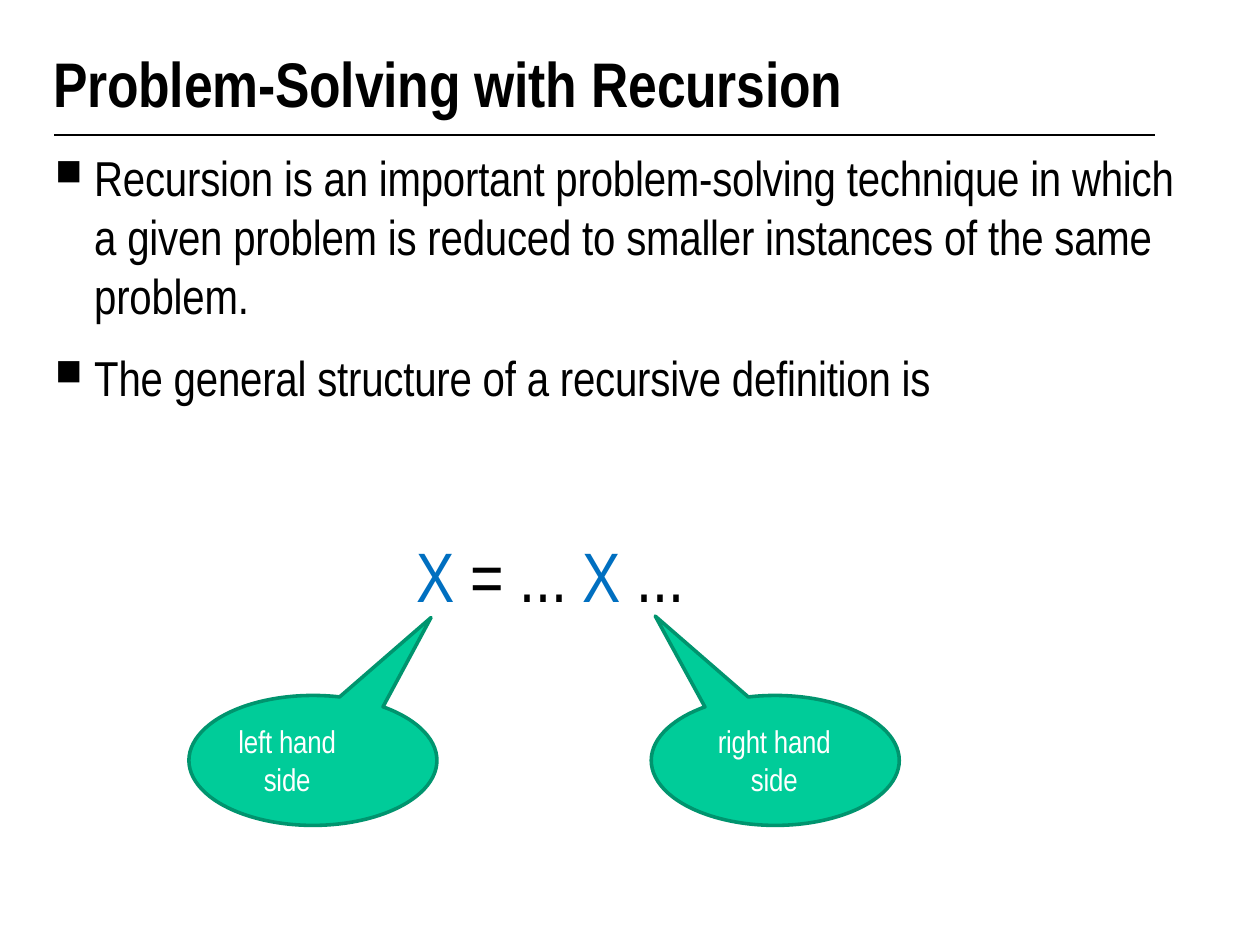
from lxml import etree
from pptx import Presentation
from pptx.dml.color import RGBColor
from pptx.enum.shapes import MSO_CONNECTOR, MSO_SHAPE
from pptx.enum.text import PP_ALIGN
from pptx.oxml.ns import qn
from pptx.util import Cm, Pt

CALLOUT = MSO_SHAPE.OVAL_CALLOUT
STRAIGHT = MSO_CONNECTOR.STRAIGHT
LEFT, CENTER = PP_ALIGN.LEFT, PP_ALIGN.CENTER
FONT = "Arial Narrow"
COLORS = {
    "ink": "000000",
    "label": "FFFFFF",
    "variable": "006FC0",
    "bubble": "00CC99",
    "bubble_edge": "00946E",
}


def color(name):
    """Return the named colour."""
    return RGBColor.from_string(COLORS[name])


def add_text(slide, box, paragraphs, size, bold=False, align=LEFT, gaps=(1,)):
    """Add a text box; a paragraph is a list of (text, colour name) runs."""
    frame = slide.shapes.add_textbox(*map(Cm, box)).text_frame
    frame.word_wrap = True
    frame.margin_left = frame.margin_right = frame.margin_bottom = 0
    frame.margin_top = Cm(0.03)
    for index, runs in enumerate(paragraphs):
        paragraph = frame.add_paragraph() if index else frame.paragraphs[0]
        paragraph.alignment = align
        paragraph.space_before = Pt(gaps[index] if index < len(gaps) else 0)
        paragraph.font.name = FONT
        paragraph.font.size = Pt(size)
        paragraph.font.bold = bold
        for text, color_name in runs:
            run = paragraph.add_run()
            run.text = text
            run.font.color.rgb = color(color_name)
            run.font._element.set("spc", "-10")
    return frame


def add_bullets(frame):
    """Give every paragraph a small square bullet with a hanging indent."""
    for paragraph in frame.paragraphs:
        properties = paragraph._p.get_or_add_pPr()
        properties.set("marL", str(Cm(0.83)))
        properties.set("indent", str(-Cm(0.79)))
        font = properties.find(qn("a:defRPr"))
        bullet_size = etree.Element(qn("a:buSzPct"), val="75000")
        bullet = etree.Element(qn("a:buChar"), char="■")
        for part in (bullet_size, bullet):
            if font is None:
                properties.append(part)
            else:
                font.addprevious(part)


def add_rule(slide, left, right, top):
    """Draw the thin line under the title."""
    rule = slide.shapes.add_connector(STRAIGHT, Cm(left), Cm(top), Cm(right), Cm(top))
    rule.line.color.rgb = color("ink")
    rule.line.width = Pt(0.72)
    etree.SubElement(rule._element.spPr, qn("a:effectLst"))


def add_callout(slide, left, tip, label_center, lines):
    """Add an oval callout pointing at tip, with its centred label."""
    top, width, height = 14.02, 5, 2.62
    bubble = slide.shapes.add_shape(CALLOUT, Cm(left), Cm(top), Cm(width), Cm(height))
    bubble.adjustments[0] = (tip[0] - left) / width - 0.5
    bubble.adjustments[1] = (tip[1] - top) / height - 0.5
    bubble.shadow.inherit = False
    bubble.fill.solid()
    bubble.fill.fore_color.rgb = color("bubble")
    bubble.line.color.rgb = color("bubble_edge")
    bubble.line.width = Pt(2.04)
    label_width = 2.88
    label_box = (label_center - label_width / 2, 14.53, label_width, 1.6)
    add_text(slide, label_box, [[(line, "label")] for line in lines], 18, align=CENTER)


def main():
    """Build the slide and save it."""
    deck = Presentation()
    deck.slide_width, deck.slide_height = Cm(25.4), Cm(19.05)
    slide = deck.slides.add_slide(deck.slide_layouts[6])

    add_rule(slide, 1.09, 23.29, 2.72)
    title = [("Problem-Solving with Recursion", "ink")]
    add_text(slide, (1.07, 0.86, 20.73, 1.6), [title], 36, bold=True)

    points = [
        "Recursion is an important problem-solving technique in which a given "
        "problem is reduced to smaller instances of the same problem.",
        "The general structure of a recursive definition is",
    ]
    point_runs = [[(point, "ink")] for point in points]
    body = add_text(slide, (1.07, 2.95, 22.89, 5.5), point_runs, 28, gaps=(0.9, 13.4))
    add_bullets(body)

    definition = [("X ", "variable"), ("= ... ", "ink"), ("X ", "variable"), ("...", "ink")]
    add_text(slide, (8.4, 10.7, 6, 1.7), [definition], 40, gaps=(0,))

    add_callout(slide, 3.81, (8.69, 12.45), 5.79, ["left hand", "side"])
    add_callout(slide, 13.13, (13.21, 12.42), 15.61, ["right hand", "side"])
    deck.save("out.pptx")


main()
